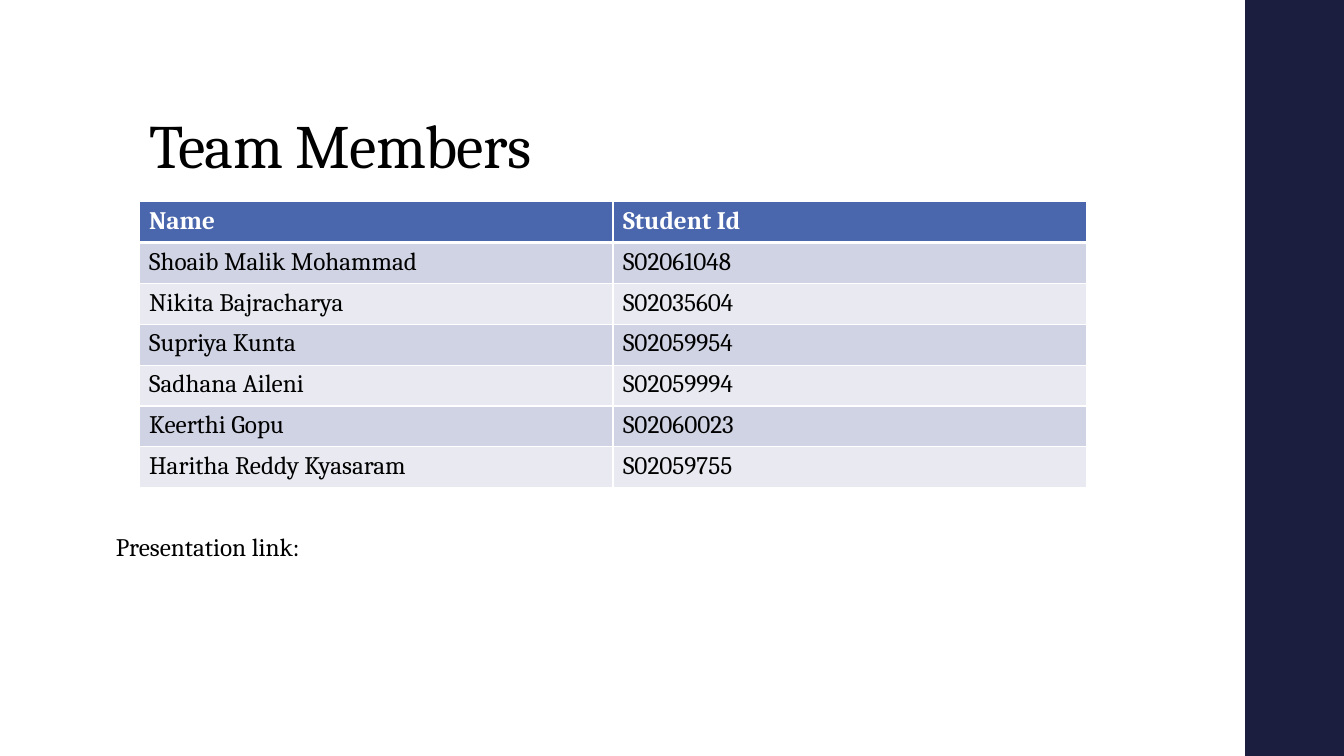
from dataclasses import dataclass

from lxml.etree import SubElement
from pptx import Presentation
from pptx.dml.color import RGBColor
from pptx.enum.shapes import MSO_SHAPE
from pptx.enum.text import MSO_ANCHOR, MSO_AUTO_SIZE, PP_ALIGN
from pptx.oxml.ns import qn
from pptx.util import Inches, Pt


@dataclass(frozen=True)
class Theme:
    font: str = "Cambria"
    title_size: int = 44
    body_size: int = 18
    text: str = "000000"
    white: str = "FFFFFF"
    side_band: str = "1B1E3E"
    header: str = "4A66AC"
    row_fills: tuple = ("E9EAF1", "D0D3E3")


theme = Theme()


def add_run(paragraph, text, size, color, bold=False):
    run = paragraph.add_run()
    run.text = text
    run.font.name = theme.font
    run.font.size = Pt(size)
    run.font.bold = bold
    run.font.color.rgb = RGBColor.from_string(color)
    return run


def add_border(cell, side, width):
    properties = cell._tc.get_or_add_tcPr()
    line = SubElement(properties, qn(f"a:ln{side}"), w=str(Pt(width)))
    fill = SubElement(line, qn("a:solidFill"))
    SubElement(fill, qn("a:srgbClr"), val=theme.white)


presentation = Presentation()
presentation.slide_width = Inches(13.33)
presentation.slide_height = Inches(7.5)
slide = presentation.slides.add_slide(presentation.slide_layouts[5])
slide.background.fill.solid()
slide.background.fill.fore_color.rgb = RGBColor.from_string(theme.white)

side_band = slide.shapes.add_shape(
    MSO_SHAPE.RECTANGLE, Inches(12.35), 0, Inches(0.98), Inches(7.5)
)
side_band.shadow.inherit = False
side_band.fill.solid()
side_band.fill.fore_color.rgb = RGBColor.from_string(theme.side_band)
side_band.line.fill.background()

title = slide.shapes.title
title.left, title.top = Inches(1.38), Inches(0.4)
title.width, title.height = Inches(10.6), Inches(1.45)
title.text_frame.auto_size = MSO_AUTO_SIZE.NONE
title.text_frame.vertical_anchor = MSO_ANCHOR.BOTTOM
title_paragraph = title.text_frame.paragraphs[0]
title_paragraph.alignment = PP_ALIGN.LEFT
title_paragraph.line_spacing = 0.9
title_run = add_run(title_paragraph, "Team Members", theme.title_size, theme.text)
title_run.font._element.set("spc", "-50")

members = [
    ("Name", "Student Id"),
    ("Shoaib Malik Mohammad", "S02061048"),
    ("Nikita Bajracharya", "S02035604"),
    ("Supriya Kunta", "S02059954"),
    ("Sadhana Aileni", "S02059994"),
    ("Keerthi Gopu", "S02060023"),
    ("Haritha Reddy Kyasaram", "S02059755"),
]
table = slide.shapes.add_table(
    len(members), 2, Inches(1.38), Inches(2), Inches(9.4), Inches(2.84)
).table
table.horz_banding = False

for row_index, member in enumerate(members):
    is_header = row_index == 0
    fill_color = theme.header if is_header else theme.row_fills[row_index % 2]
    text_color = theme.white if is_header else theme.text
    for column_index, text in enumerate(member):
        cell = table.cell(row_index, column_index)
        add_run(cell.text_frame.paragraphs[0], text, theme.body_size, text_color, is_header)
        for side in "LRTB":
            touches_header_edge = (row_index, side) in ((0, "B"), (1, "T"))
            add_border(cell, side, 3 if touches_header_edge else 1)
        cell.fill.solid()
        cell.fill.fore_color.rgb = RGBColor.from_string(fill_color)

link_box = slide.shapes.add_textbox(Inches(1.05), Inches(5.22), Inches(10.75), Inches(0.71))
link_box.text_frame.word_wrap = True
add_run(link_box.text_frame.paragraphs[0], "Presentation link:", theme.body_size, theme.text)

presentation.save("out.pptx")
